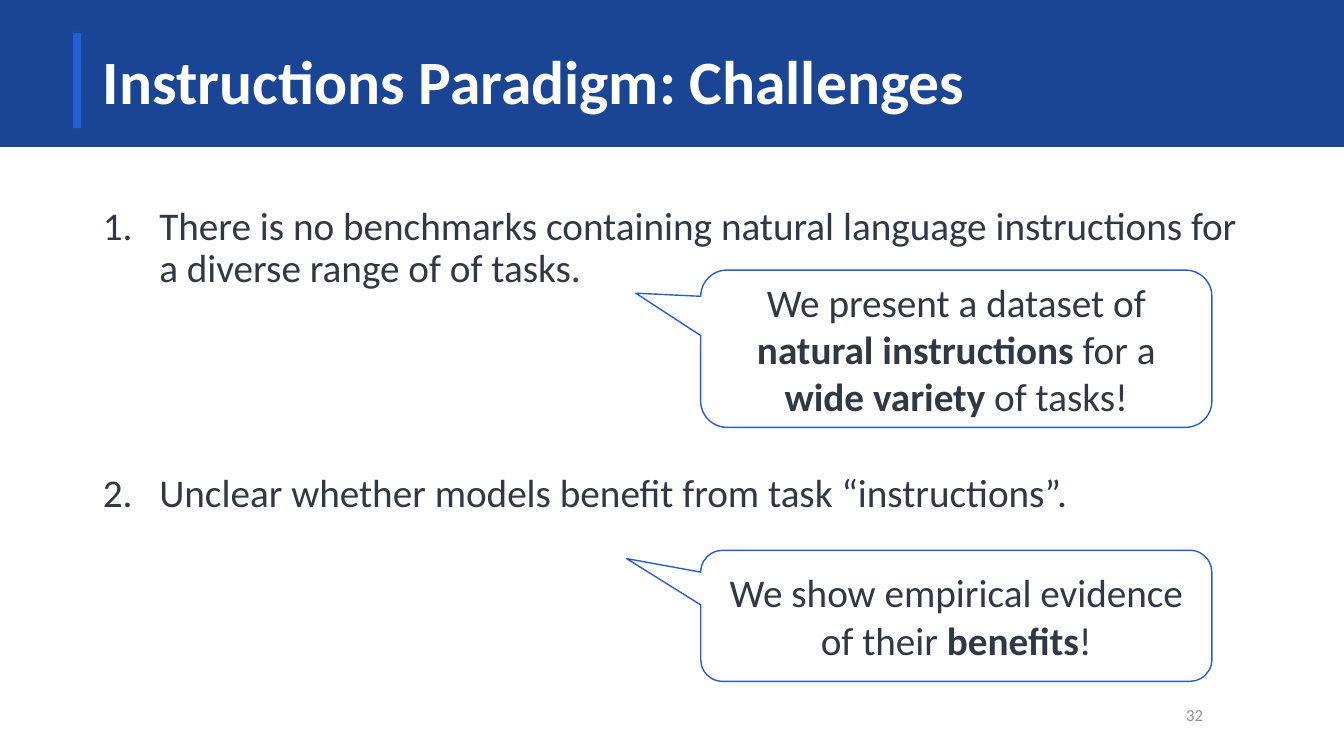
from lxml.etree import SubElement
from pptx import Presentation
from pptx.dml.color import RGBColor
from pptx.enum.shapes import MSO_SHAPE
from pptx.enum.text import MSO_ANCHOR, MSO_AUTO_SIZE, PP_ALIGN
from pptx.oxml.ns import qn
from pptx.util import Inches, Pt

NAVY = RGBColor(0x1A, 0x45, 0x95)
NAVY_EDGE = RGBColor(0x1B, 0x46, 0x9C)
BLUE = RGBColor(0x25, 0x5E, 0xD3)
INK = RGBColor(0x30, 0x38, 0x45)
GREY = RGBColor(0x8F, 0x91, 0x94)
WHITE = RGBColor(0xFF, 0xFF, 0xFF)

SLIDE_WIDTH, SLIDE_HEIGHT = 13.33, 7.5
CONTENT_LEFT, CONTENT_WIDTH = 0.92, 11.5
CALLOUT_LEFT, CALLOUT_WIDTH = 6.95, 5.07

CHALLENGES = [
    "There is no benchmarks containing natural language instructions "
    "for a diverse range of of tasks.",
    "Unclear whether models benefit from task “instructions”.",
]
CALLOUTS = [
    (2.68, 1.56, (-0.627, -0.353, 0.167), [
        ("We present a dataset of ", False),
        ("natural instructions ", True),
        ("for a ", False),
        ("wide variety", True),
        (" of tasks!", False),
    ]),
    (5.46, 1.3, (-0.645, -0.437, 0.167), [
        ("We show empirical evidence of their ", False),
        ("benefits", True),
        ("!", False),
    ]),
]


def place(shape, box):
    """Move a shape to a box given in inches."""
    shape.left, shape.top, shape.width, shape.height = map(Inches, box)


def style_font(font, size, color, bold=False):
    """Apply the slide typeface with a size, colour and weight."""
    font.name, font.size, font.bold = "Calibri", Pt(size), bold
    font.color.rgb = color


def add_panel(slide, kind, box, fill, line):
    """Add a flat filled shape with a thin outline."""
    shape = slide.shapes.add_shape(kind, *map(Inches, box))
    shape.shadow.inherit = False
    shape.fill.solid()
    shape.fill.fore_color.rgb = fill
    shape.line.color.rgb = line
    shape.line.width = Pt(1)
    return shape


def add_header(slide, box, text):
    """Fill the header band, its accent bar and the title."""
    left, top, width, height = box
    title = slide.shapes.title
    accent_box = (left + 0.72, top + 0.22 * height, 0.09, 0.66 * height)
    for panel_box, fill, line in ((box, NAVY, NAVY), (accent_box, BLUE, NAVY_EDGE)):
        panel = add_panel(slide, MSO_SHAPE.RECTANGLE, panel_box, fill, line)
        title.element.addprevious(panel.element)
    place(title, (left + CONTENT_LEFT, top + 0.22 * height, CONTENT_WIDTH, 0.72 * height))
    frame = title.text_frame
    frame.text = text
    frame.auto_size = MSO_AUTO_SIZE.NONE
    frame.vertical_anchor = MSO_ANCHOR.MIDDLE
    paragraph = frame.paragraphs[0]
    paragraph.alignment = PP_ALIGN.LEFT
    paragraph.line_spacing = 0.9
    style_font(paragraph.font, 44, WHITE, True)


def add_challenges(slide, box, items):
    """Fill the body with a widely spaced numbered list."""
    body = slide.placeholders[1]
    place(body, box)
    frame = body.text_frame
    frame.text = "\n".join(items)
    frame.auto_size = MSO_AUTO_SIZE.NONE
    for index, paragraph in enumerate(frame.paragraphs):
        paragraph.line_spacing = 0.9
        paragraph.space_before = Pt(130 if index else 0)
        properties = paragraph._p.get_or_add_pPr()
        properties.set("marL", str(Inches(0.56)))
        properties.set("indent", str(-Inches(0.56)))
        SubElement(properties, qn("a:buFont"), typeface="+mj-lt")
        SubElement(properties, qn("a:buAutoNum"), type="arabicPeriod")
        style_font(paragraph.font, 28, INK)


def add_callout(slide, box, adjustments, runs):
    """Add a speech callout with partly bold text."""
    callout = add_panel(slide, MSO_SHAPE.ROUNDED_RECTANGULAR_CALLOUT, box, WHITE, BLUE)
    for index, value in enumerate(adjustments):
        callout.adjustments[index] = value
    frame = callout.text_frame
    frame.word_wrap = True
    frame.vertical_anchor = MSO_ANCHOR.MIDDLE
    paragraph = frame.paragraphs[0]
    paragraph.alignment = PP_ALIGN.CENTER
    for text, bold in runs:
        run = paragraph.add_run()
        run.text = text
        style_font(run.font, 28, INK, bold)


def add_page_number(slide, box, number):
    """Add the right-aligned page number."""
    frame = slide.shapes.add_textbox(*map(Inches, box)).text_frame
    frame.word_wrap = True
    frame.vertical_anchor = MSO_ANCHOR.MIDDLE
    frame.text = number
    paragraph = frame.paragraphs[0]
    paragraph.alignment = PP_ALIGN.RIGHT
    style_font(paragraph.font, 12, GREY)


def main():
    """Build and save the slide."""
    presentation = Presentation()
    presentation.slide_width = Inches(SLIDE_WIDTH)
    presentation.slide_height = Inches(SLIDE_HEIGHT)
    slide = presentation.slides.add_slide(presentation.slide_layouts[1])
    add_header(slide, (0, 0, SLIDE_WIDTH, 1.45), "Instructions Paradigm: Challenges")
    add_challenges(slide, (CONTENT_LEFT, 2, CONTENT_WIDTH, 4.76), CHALLENGES)
    add_page_number(slide, (11.45, 6.89, 0.58, 0.4), "32")
    for top, height, adjustments, runs in CALLOUTS:
        add_callout(slide, (CALLOUT_LEFT, top, CALLOUT_WIDTH, height), adjustments, runs)
    presentation.save("out.pptx")


if __name__ == "__main__":
    main()
